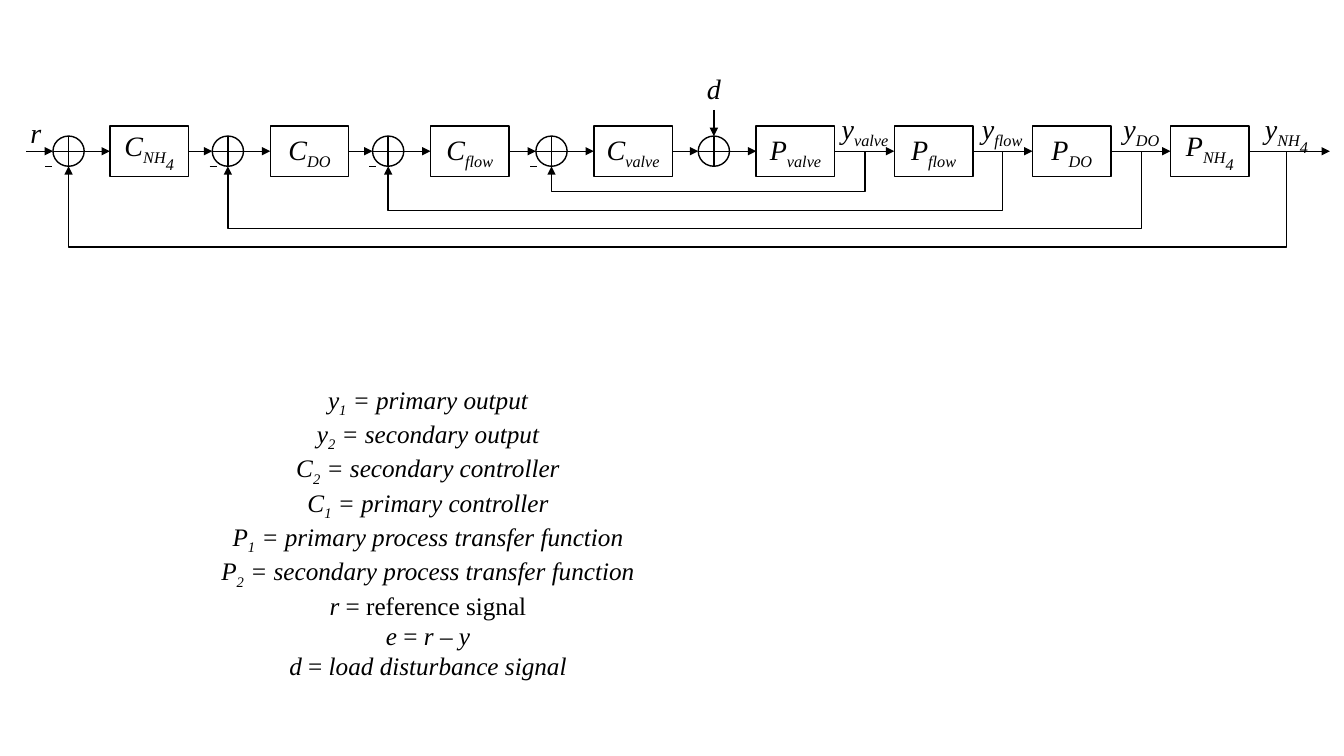
from pptx import Presentation
from pptx import util as u
from pptx.dml.color import RGBColor
from pptx.enum import shapes, text
from pptx.oxml import ns
from lxml import etree

INK, PAPER = "000000", "FFFFFF"
FONT = "Times New Roman"
AXIS = 1.5
BLOCK_WIDTH, BLOCK_HEIGHT = 0.78, 0.5
SUM_WIDTH, SUM_HEIGHT = 0.31, 0.3
PROCESS_LEFT, PROCESS_PITCH = 7.5, 1.37
DISTURBANCE_X = 7.08

# Each loop: subscripts, sum centre, minus left, controller left, output tap, return depth
LOOPS = [
    (("NH", "4"), 0.68, 0.45, 1.09, 12.76, 2.45),
    (("DO",), 2.26, 2.08, 2.68, 11.32, 2.27),
    (("flow",), 3.85, 3.66, 4.27, 9.94, 2.09),
    (("valve",), 5.47, 5.26, 5.89, 8.58, 1.9),
]
SUBSCRIPTED = [
    ("y", "1", "primary output"),
    ("y", "2", "secondary output"),
    ("C", "2", "secondary controller"),
    ("C", "1", "primary controller"),
    ("P", "1", "primary process transfer function"),
    ("P", "2", "secondary process transfer function"),
]
SIGNALS = [
    [("r", True, 0), (" = reference signal", False, 0)],
    [("e", True, 0), (" = ", False, 0), ("r – y", True, 0)],
    [("d", True, 0), (" = ", False, 0), ("load disturbance signal", True, 0)],
]


def colour(value):
    """Return the colour for a hex string."""
    return RGBColor.from_string(value)


def symbol(letter, subscripts=()):
    """Return the spans of a letter whose subscripts step down."""
    lowered = [(sub, True, -25 * level) for level, sub in enumerate(subscripts, 1)]
    return [(letter, True, 0)] + lowered


def write(shape, rows, size):
    """Write centred rows of (words, italic, baseline) spans into a shape."""
    frame = shape.text_frame
    frame.word_wrap = False
    for index, row in enumerate(rows):
        para = frame.add_paragraph() if index else frame.paragraphs[0]
        para.alignment = text.PP_ALIGN.CENTER
        for words, italic, baseline in row:
            span = para.add_run()
            span.text = words
            span.font.name = FONT
            span.font.size = u.Pt(size)
            span.font.italic = italic
            span.font.color.rgb = colour(INK)
            if baseline:
                span.font._element.set("baseline", str(baseline * 1000))


def add_label(page, left, top, width, height, rows, size=20):
    """Add a text box that fits its text."""
    box = page.shapes.add_textbox(*map(u.Inches, (left, top, width, height)))
    write(box, rows, size)
    box.text_frame.auto_size = text.MSO_AUTO_SIZE.SHAPE_TO_FIT_TEXT


def add_outline(page, kind, left, width, height):
    """Add a white shape with a thin outline, centred on the signal axis."""
    top = AXIS - height / 2
    shape = page.shapes.add_shape(kind, *map(u.Inches, (left, top, width, height)))
    shape.shadow.inherit = False
    shape.fill.solid()
    shape.fill.fore_color.rgb = colour(PAPER)
    shape.line.color.rgb = colour(INK)
    shape.line.width = u.Pt(1)
    return shape


def add_block(page, left, spans):
    """Add a transfer function block."""
    block = add_outline(page, shapes.MSO_SHAPE.RECTANGLE, left, BLOCK_WIDTH, BLOCK_HEIGHT)
    block.text_frame.vertical_anchor = text.MSO_ANCHOR.MIDDLE
    write(block, [spans], 20)
    return block


def add_wire(page, start, end, arrow=True, kind=shapes.MSO_CONNECTOR.STRAIGHT):
    """Add a thin connector, with an arrowhead if asked."""
    wire = page.shapes.add_connector(kind, *map(u.Inches, (*start, *end)))
    wire.line.color.rgb = colour(INK)
    wire.line.width = u.Pt(1)
    if arrow:
        head = etree.SubElement(wire.line._get_or_add_ln(), ns.qn("a:tailEnd"))
        head.set("type", "triangle")
    etree.SubElement(wire._element.spPr, ns.qn("a:effectLst"))
    return wire


def add_sum(page, centre):
    """Add a summing junction: a circle with a cross."""
    left, right = centre - SUM_WIDTH / 2, centre + SUM_WIDTH / 2
    add_outline(page, shapes.MSO_SHAPE.OVAL, left, SUM_WIDTH, SUM_HEIGHT)
    top, bottom = AXIS - SUM_HEIGHT / 2, AXIS + SUM_HEIGHT / 2
    add_wire(page, (centre, top), (centre, bottom), arrow=False)
    add_wire(page, (left, AXIS), (right, AXIS), arrow=False)


def add_feedback(page, tap, centre, depth):
    """Add the elbow that returns an output to its summing junction."""
    rise, span = SUM_HEIGHT / 2, tap - centre
    middle_x, middle_y = (tap + centre) / 2, AXIS + rise / 2
    start = (middle_x - rise / 2, middle_y - span / 2)
    end = (middle_x + rise / 2, middle_y + span / 2)
    elbow = add_wire(page, start, end, kind=shapes.MSO_CONNECTOR.ELBOW)
    properties = elbow._element.spPr
    properties.find(ns.qn("a:xfrm")).set("rot", "5400000")
    adjustments = properties.find(ns.qn("a:prstGeom")).get_or_add_avLst()
    guide = etree.SubElement(adjustments, ns.qn("a:gd"))
    guide.set("name", "adj1")
    guide.set("fmla", f"val {round((depth - AXIS) / rise * 100000)}")


def add_signal(page, start, end, source=None, target=None):
    """Add an arrow along the axis, joined to the blocks at its ends."""
    wire = add_wire(page, (start, AXIS), (end, AXIS))
    if source is not None:
        wire.begin_connect(source, 3)
    if target is not None:
        wire.end_connect(target, 1)


def add_controllers(page):
    """Add the junctions and controllers, and return the last one with its right side."""
    source, reach = None, 0.26
    for subscripts, centre, minus, left, tap, depth in LOOPS:
        add_sum(page, centre)
        controller = add_block(page, left, symbol("C", subscripts))
        add_signal(page, reach, centre - SUM_WIDTH / 2, source=source)
        add_signal(page, centre + SUM_WIDTH / 2, left, target=controller)
        minus_y = AXIS + SUM_HEIGHT / 2
        add_wire(page, (minus, minus_y), (minus + 0.07, minus_y), arrow=False)
        add_feedback(page, tap, centre, depth)
        source, reach = controller, left + BLOCK_WIDTH
    return source, reach


def add_processes(page, controller, reach):
    """Add the disturbance junction and the chain of processes with their outputs."""
    add_sum(page, DISTURBANCE_X)
    add_signal(page, reach, DISTURBANCE_X - SUM_WIDTH / 2, source=controller)
    add_wire(page, (DISTURBANCE_X, 1.09), (DISTURBANCE_X, AXIS - SUM_HEIGHT / 2))
    source, reach = None, DISTURBANCE_X + SUM_WIDTH / 2
    for index, loop in enumerate(reversed(LOOPS)):
        subscripts, tap = loop[0], loop[4]
        left = PROCESS_LEFT + index * PROCESS_PITCH
        process = add_block(page, left, symbol("P", subscripts))
        add_signal(page, reach, left, source, process)
        add_label(page, tap - 0.35, 1.06, 0.7, 0.45, [symbol("y", subscripts)])
        source, reach = process, left + BLOCK_WIDTH
    add_signal(page, reach, 13.19, source=source)


def main():
    """Build the cascade control slide."""
    deck = Presentation()
    deck.slide_width, deck.slide_height = u.Inches(13.33), u.Inches(7.5)
    page = deck.slides.add_slide(deck.slide_layouts[6])
    legend = [symbol(letter, sub) + [(f" = {meaning}", True, 0)]
              for letter, sub, meaning in SUBSCRIPTED]
    add_label(page, 2.07, 3.76, 4.35, 3.74, legend + SIGNALS, 18)
    controller, reach = add_controllers(page)
    add_processes(page, controller, reach)
    add_label(page, 0.2, 1.1, 0.31, 0.44, [symbol("r")])
    add_label(page, 6.9, 0.66, 0.36, 0.45, [symbol("d")])
    deck.save("out.pptx")


if __name__ == "__main__":
    main()
